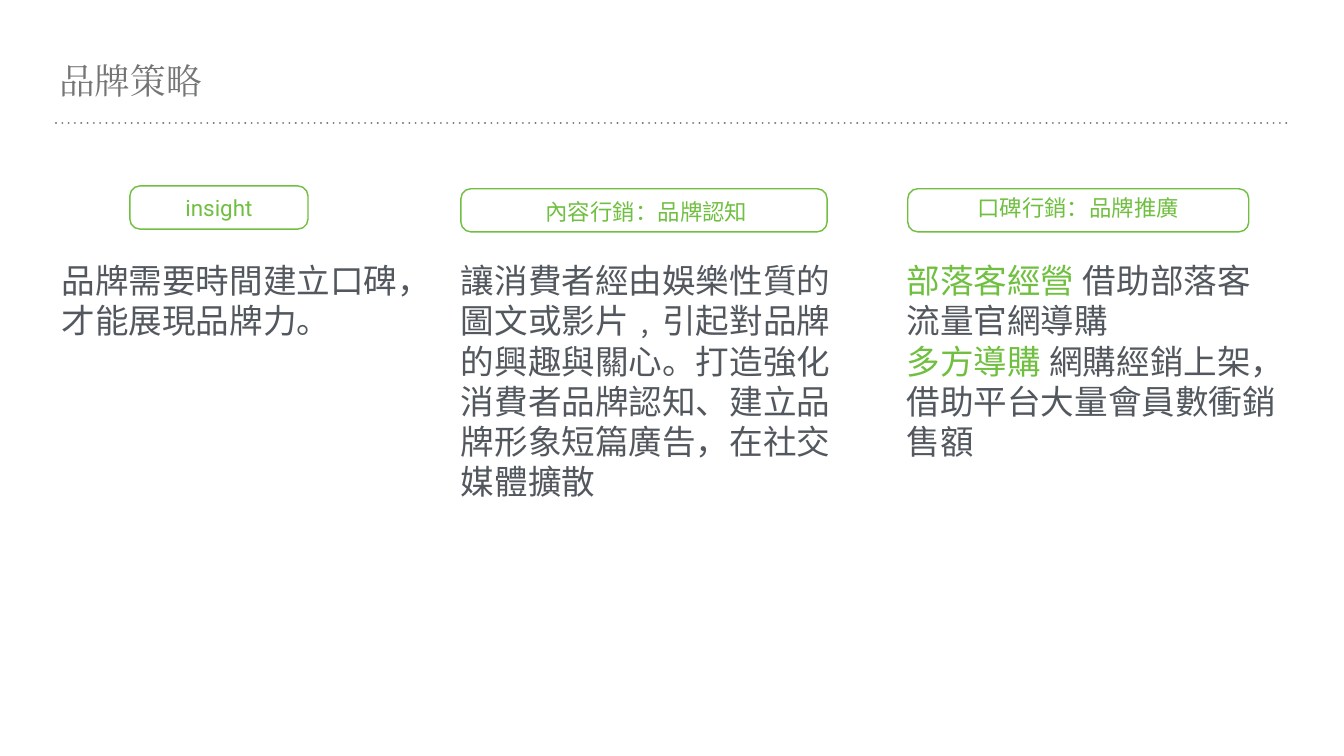
from dataclasses import dataclass

from lxml import etree
from pptx import Presentation
from pptx.dml.color import RGBColor
from pptx.enum.shapes import MSO_CONNECTOR, MSO_SHAPE
from pptx.enum.text import MSO_ANCHOR, MSO_AUTO_SIZE, PP_ALIGN
from pptx.oxml.ns import qn
from pptx.util import Inches, Pt

ROUND = MSO_SHAPE.ROUNDED_RECTANGLE
STRAIGHT = MSO_CONNECTOR.STRAIGHT
TOP, MIDDLE = MSO_ANCHOR.TOP, MSO_ANCHOR.MIDDLE
LEFT, CENTER = PP_ALIGN.LEFT, PP_ALIGN.CENTER
FIT, FIXED = MSO_AUTO_SIZE.SHAPE_TO_FIT_TEXT, MSO_AUTO_SIZE.NONE

COLORS = {"title": "747676", "accent": "70BF41", "body": "53585F"}

# Grid: 24 square columns across the slide, one as margin on each side
WIDTH, HEIGHT = 26.67, 15
UNIT = WIDTH / 24
RULE_ROW, BODY_ROW = 2.19, 4.54
PILL_H, LABEL_H = 0.77, 0.7


@dataclass
class Box:
    col: float
    row: float
    cols: float
    rows: float

    def place(self) -> list[int]:
        return [Inches(n * UNIT) for n in (self.col, self.row, self.cols, self.rows)]


@dataclass
class Topic:
    name: str
    pill: Box
    label: Box
    body: Box
    lines: list[list[tuple[str, str]]]


TOPICS = [
    Topic("insight", Box(2.32, 3.32, 3.18, PILL_H), Box(3.13, 3.36, 1.56, LABEL_H),
          Box(1, BODY_ROW, 6.45, 3.01),
          [[("品牌需要時間建立口碑，才能展現品牌力。", "body")]]),
    Topic("內容行銷：品牌認知", Box(8.23, 3.37, 6.54, PILL_H),
          Box(9.67, 3.42, 3.75, LABEL_H), Box(8.13, BODY_ROW, 7.29, 5.65),
          [[("讓消費者經由娛樂性質的圖文或影片﹐引起對品牌的興趣與關心。"
             "打造強化消費者品牌認知、建立品牌形象短篇廣告，在社交媒體擴散", "body")]]),
    Topic("口碑行銷：品牌推廣", Box(16.21, 3.37, 6.09, PILL_H),
          Box(17.38, 3.36, 3.75, LABEL_H), Box(16.09, BODY_ROW, 6.81, 5.65),
          [[("部落客經營", "accent"), (" 借助部落客流量官網導購", "body")],
           [("多方導購", "accent"), (" 網購經銷上架，借助平台大量會員數衝銷售額", "body")]]),
]


def rgb(key: str) -> RGBColor:
    return RGBColor.from_string(COLORS[key])


def add_run(para, text: str, size: int, face: str, color: str) -> None:
    run = para.add_run()
    run.text = text
    run.font.size = Pt(size)
    run.font.name = face
    run.font.color.rgb = rgb(color)
    # Same face for East Asian text
    etree.SubElement(run.font._element, qn("a:ea")).set("typeface", face)


def set_frame(frame, inset: float, anchor, wrap: bool, fit) -> None:
    frame.margin_left = frame.margin_right = Inches(inset)
    frame.margin_top = frame.margin_bottom = Inches(inset)
    frame.vertical_anchor = anchor
    frame.word_wrap = wrap
    frame.auto_size = fit


def add_title(slide, text: str) -> None:
    title = slide.shapes.title
    title.left, title.top, title.width, title.height = Box(1, 1, 22, 1).place()
    set_frame(title.text_frame, 0.06, TOP, True, FIXED)
    para = title.text_frame.paragraphs[0]
    para.alignment = LEFT
    add_run(para, text, 51, "Times New Roman", "title")


def add_rule(slide) -> None:
    x, y, width, _ = Box(1, RULE_ROW, 22, 0).place()
    rule = slide.shapes.add_connector(STRAIGHT, x, y, x + width, y)
    rule.line.color.rgb = rgb("title")
    rule.line.width = Pt(3)
    # Round dots, two dot widths apart
    line = rule.line._get_or_add_ln()
    line.set("cap", "rnd")
    dash = etree.SubElement(line, qn("a:custDash"))
    dot = etree.SubElement(dash, qn("a:ds"))
    dot.set("d", "100000")
    dot.set("sp", "200000")
    etree.SubElement(rule._element.spPr, qn("a:effectLst"))


def add_topic(slide, topic: Topic) -> None:
    # Outlined pill
    pill = slide.shapes.add_shape(ROUND, *topic.pill.place())
    pill.adjustments[0] = 0.23
    pill.shadow.inherit = False
    pill.fill.background()
    pill.line.color.rgb = rgb("accent")
    pill.line.width = Pt(2)

    # Label over the pill
    label = slide.shapes.add_textbox(*topic.label.place()).text_frame
    set_frame(label, 0.08, MIDDLE, False, FIT)
    label.paragraphs[0].alignment = CENTER
    add_run(label.paragraphs[0], topic.name, 32, "Roboto", "accent")

    # Body text
    body = slide.shapes.add_textbox(*topic.body.place()).text_frame
    set_frame(body, 0.11, TOP, True, FIXED)
    para = body.paragraphs[0]
    for i, line in enumerate(topic.lines):
        if i:
            para.add_line_break()
        for text, color in line:
            add_run(para, text, 48, "Roboto", color)


def main() -> None:
    deck = Presentation()
    deck.slide_width, deck.slide_height = Inches(WIDTH), Inches(HEIGHT)
    slide = deck.slides.add_slide(deck.slide_layouts[5])
    add_rule(slide)
    add_title(slide, "品牌策略")
    for topic in TOPICS:
        add_topic(slide, topic)
    deck.save("out.pptx")


if __name__ == "__main__":
    main()
